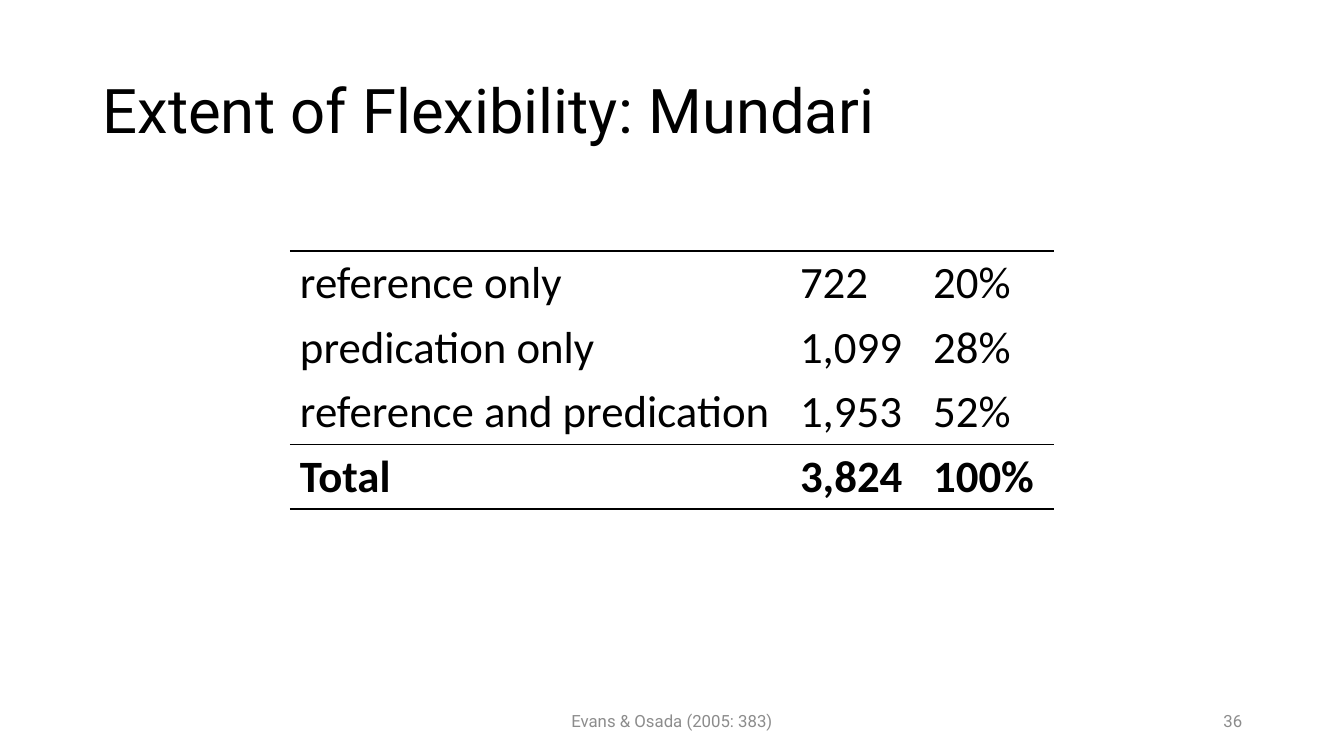
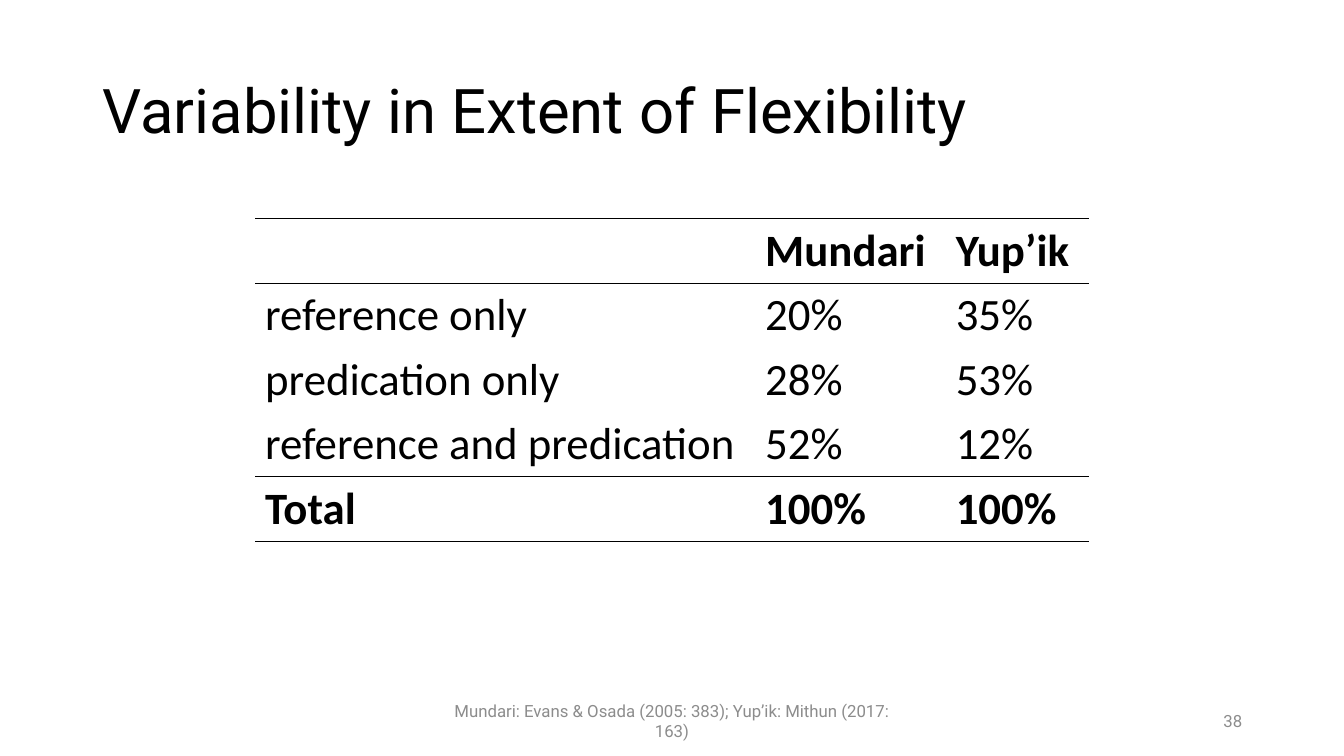
"""Build two slides comparing lexical flexibility in a ruled table."""
from lxml import etree
from pptx import Presentation, util as u
from pptx.dml.color import RGBColor
from pptx.enum import text as t
from pptx.oxml import ns

HUES = {"ink": "000000", "note": "8C8C8C"}
WIDE, HIGH = 13.33, 7.5
ROW, MID = 0.64, 3.77
FOOT = 6.95

SLIDES = [
    {
        "title": "Extent of Flexibility: Mundari",
        "cols": [4.96, 1.32, 1.3],
        "rules": {0, 3, 4},
        "rows": [
            ("reference only", "722", "20%"),
            ("predication only", "1,099", "28%"),
            ("reference and predication", "1,953", "52%"),
            ("Total", "3,824", "100%"),
        ],
        "cite": "Evans & Osada (2005: 383)",
        "span": 4.5,
        "page": "36",
    },
    {
        "title": "Variability in Extent of Flexibility",
        "cols": [4.96, 1.89, 1.42],
        "rules": {0, 1, 4, 5},
        "rows": [
            ("", "Mundari", "Yup’ik"),
            ("reference only", "20%", "35%"),
            ("predication only", "28%", "53%"),
            ("reference and predication", "52%", "12%"),
            ("Total", "100%", "100%"),
        ],
        "cite": "Mundari: Evans & Osada (2005: 383); Yup’ik: Mithun (2017: 163)",
        "span": 4.76,
        "page": "38",
    },
]


def write(frame, words, size=12, face="Roboto", hue="note", bold=False,
          align="LEFT", lead=1.0):
    frame.word_wrap = True
    para = frame.paragraphs[0]
    para.alignment = getattr(t.PP_ALIGN, align)
    para.line_spacing = lead
    if words:
        run = para.add_run()
        run.text = words
        run.font.size = u.Pt(size)
        run.font.name = face
        run.font.bold = bold
        run.font.color.rgb = RGBColor.from_string(HUES[hue])


def label(slide, box, words, **style):
    frame = slide.shapes.add_textbox(*map(u.Inches, box)).text_frame
    frame.vertical_anchor = t.MSO_ANCHOR.MIDDLE
    write(frame, words, **style)


def edge(cell, side, drawn):
    props = cell._tc.get_or_add_tcPr()
    line = etree.SubElement(props, ns.qn("a:ln" + side), w=str(u.Pt(1)))
    fill = etree.SubElement(line, ns.qn("a:solidFill" if drawn else "a:noFill"))
    if drawn:
        etree.SubElement(fill, ns.qn("a:srgbClr"), val=HUES["ink"])


def grid(slide, rows, cols, rules):
    wide, high = sum(cols), ROW * len(rows)
    box = ((WIDE - wide) / 2, MID - high / 2, wide, high)
    table = slide.shapes.add_table(
        len(rows), len(cols), *map(u.Inches, box)).table
    table.first_row = table.horz_banding = False
    for col, width in zip(table.columns, cols):
        col.width = u.Inches(width)
    for r, row in enumerate(rows):
        table.rows[r].height = u.Inches(ROW)
        for c, words in enumerate(row):
            cell = table.cell(r, c)
            for side, drawn in (("L", False), ("R", False),
                                ("T", r in rules), ("B", r + 1 in rules)):
                edge(cell, side, drawn)
            cell.fill.background()
            write(cell.text_frame, words, size=32, face="Calibri", hue="ink",
                  bold={r, r + 1} <= rules)


def main():
    deck = Presentation()
    deck.slide_width, deck.slide_height = u.Inches(WIDE), u.Inches(HIGH)
    for item in SLIDES:
        slide = deck.slides.add_slide(deck.slide_layouts[6])
        label(slide, (0.92, 0.4, 11.5, 1.45), item["title"],
              size=44, hue="ink", lead=0.9)
        grid(slide, item["rows"], item["cols"], item["rules"])
        label(slide, (9.42, FOOT, 3, 0.4), item["page"], align="RIGHT")
        span = item["span"]
        label(slide, ((WIDE - span) / 2, FOOT, span, 0.4), item["cite"],
              align="CENTER")
    deck.save("out.pptx")


if __name__ == "__main__":
    main()
